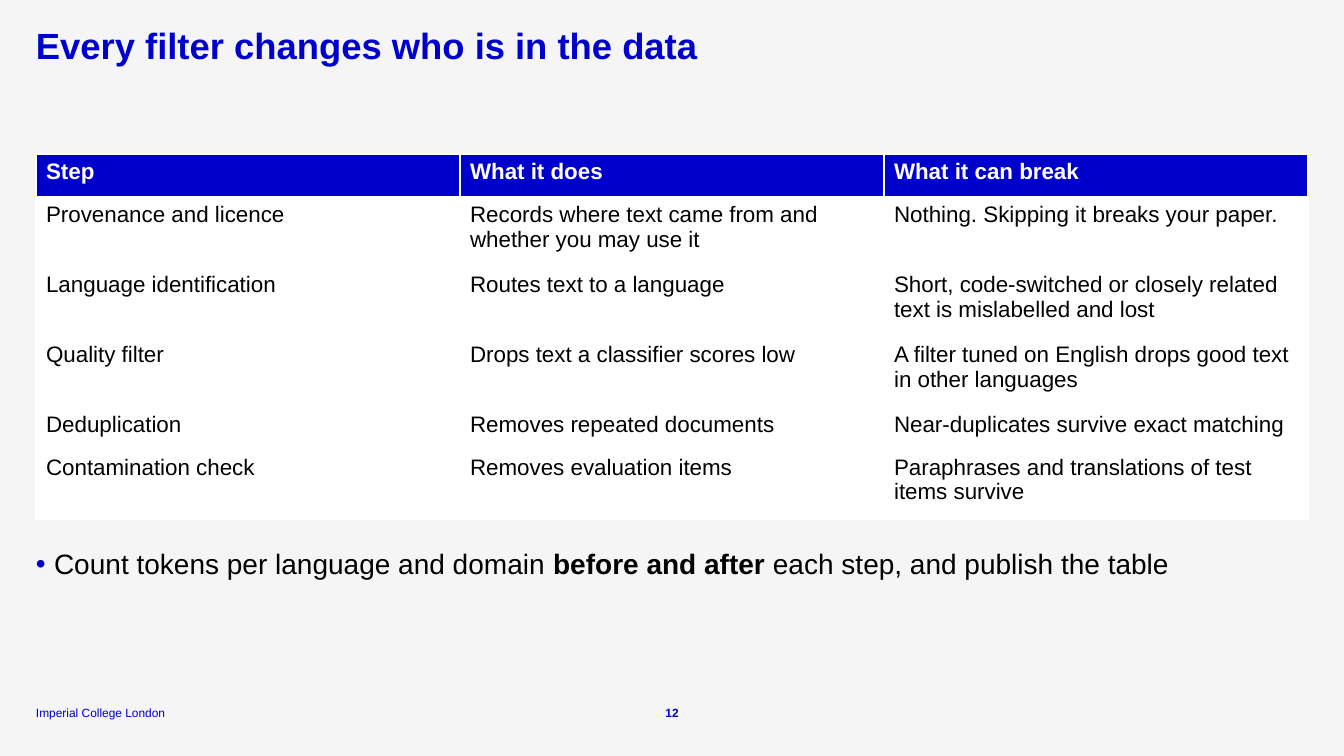
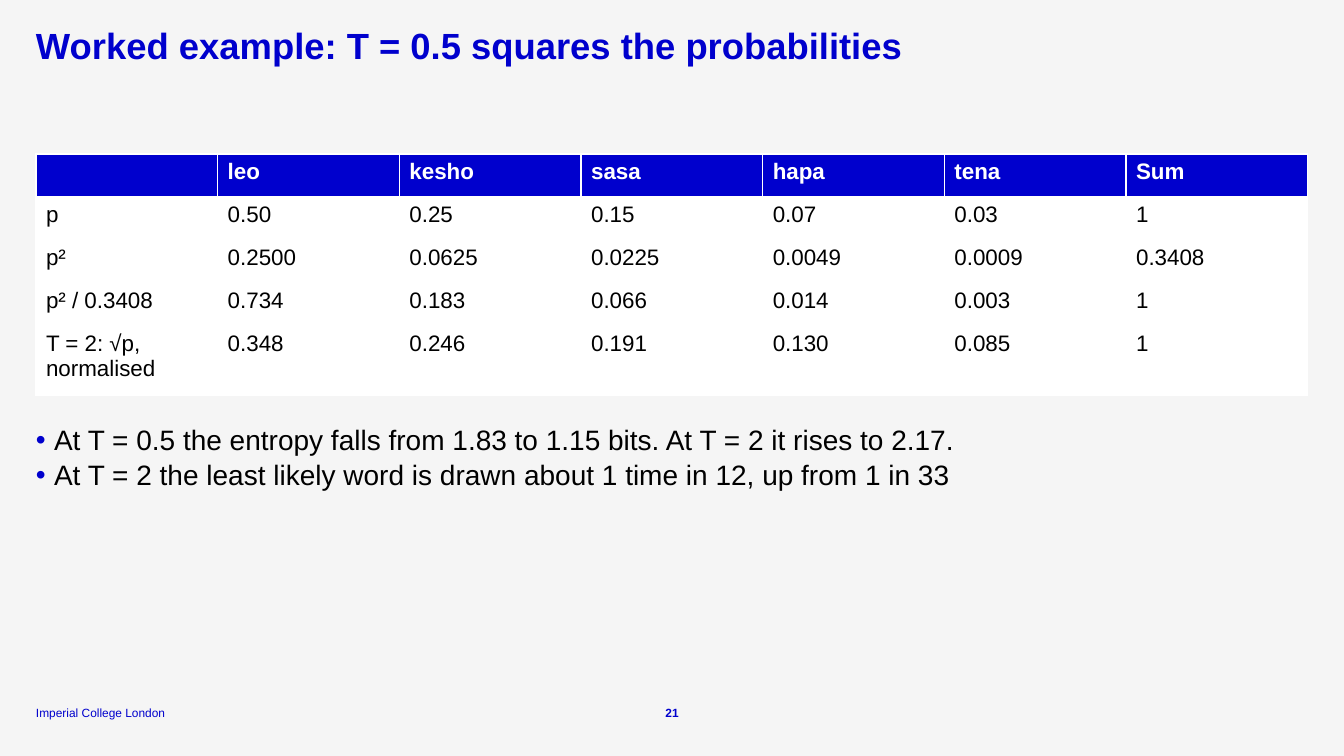
import pptx
import pptx.dml.color
import pptx.enum.text
import pptx.oxml.ns
import pptx.util
import lxml.etree

PIXELS_PER_INCH = 100.8
SLIDE_WIDTH, SLIDE_HEIGHT = 1344, 756
MARGIN = 36
CONTENT_WIDTH = SLIDE_WIDTH - 2 * MARGIN
TABLE_TOP = 154
ONE_LINE_ROW, TWO_LINE_ROW = 43, 70
LIST_GAP = 25
LIST_ITEM_HEIGHT = 50
BULLET_INDENT = 18
FOOTER_TOP, FOOTER_HEIGHT = 705, 15
NUMBER_WIDTH = 36

FONT = "Arial"
BLUE = "0000CD"
BLACK = "000000"
WHITE = "FFFFFF"
BACKGROUND = "F5F5F5"

ALIGN = pptx.enum.text.PP_ALIGN
ANCHOR = pptx.enum.text.MSO_ANCHOR


def px(length):
    return pptx.util.Emu(round(length * 914400 / PIXELS_PER_INCH))


def color(value):
    return pptx.dml.color.RGBColor.from_string(value)


def set_fill(fill, value):
    fill.solid()
    fill.fore_color.rgb = color(value)


def style_paragraph(paragraph, size, value, bold=False, align=ALIGN.LEFT):
    paragraph.alignment = align
    font = paragraph.font
    font.name = FONT
    font.size = pptx.util.Pt(size)
    font.bold = bold
    font.color.rgb = color(value)


def place(shape, left, top, width, height):
    shape.left, shape.top = px(left), px(top)
    shape.width, shape.height = px(width), px(height)


def prepare_frame(shape, anchor):
    frame = shape.text_frame
    frame.word_wrap = True
    frame.auto_size = pptx.enum.text.MSO_AUTO_SIZE.NONE
    frame.vertical_anchor = anchor
    frame.margin_left = frame.margin_top = 0
    frame.margin_right = frame.margin_bottom = 0
    return frame


def add_bullet(paragraph):
    properties = paragraph._p.get_or_add_pPr()
    properties.set("marL", str(px(BULLET_INDENT)))
    properties.set("indent", str(-px(BULLET_INDENT)))
    qn = pptx.oxml.ns.qn
    bullet_color = lxml.etree.SubElement(properties, qn("a:buClr"))
    lxml.etree.SubElement(bullet_color, qn("a:srgbClr"), val=BLUE)
    lxml.etree.SubElement(properties, qn("a:buFont"), typeface=FONT)
    lxml.etree.SubElement(properties, qn("a:buChar"), char="•")


def set_title(slide, text):
    title = slide.shapes.title
    place(title, MARGIN, 28, CONTENT_WIDTH, 41)
    frame = prepare_frame(title, ANCHOR.TOP)
    frame.text = text
    paragraph = frame.paragraphs[0]
    paragraph.line_spacing = 0.9
    style_paragraph(paragraph, 26, BLUE, bold=True)


def set_list(slide, top, items):
    body = slide.placeholders[1]
    place(body, MARGIN, top, CONTENT_WIDTH, LIST_ITEM_HEIGHT * len(items))
    frame = prepare_frame(body, ANCHOR.TOP)
    for index, parts in enumerate(items):
        paragraph = frame.add_paragraph() if index else frame.paragraphs[0]
        paragraph.level = 2
        add_bullet(paragraph)
        paragraph.line_spacing = 1.05
        paragraph.space_before = pptx.util.Pt(0)
        style_paragraph(paragraph, 20, BLACK)
        for text, bold in parts:
            run = paragraph.add_run()
            run.text = text
            if bold:
                run.font.bold = True


def add_table(slide, rows, heights):
    column_count = len(rows[0])
    frame = slide.shapes.add_table(
        len(rows), column_count, px(MARGIN), px(TABLE_TOP),
        px(CONTENT_WIDTH), px(sum(heights)))
    table = frame.table
    table.horz_banding = False
    for column in table.columns:
        column.width = px(CONTENT_WIDTH / column_count)
    for row_index, (texts, height) in enumerate(zip(rows, heights)):
        table.rows[row_index].height = px(height)
        is_header = row_index == 0
        for column_index, text in enumerate(texts):
            cell = table.cell(row_index, column_index)
            set_fill(cell.fill, BLUE if is_header else WHITE)
            cell.text = text
            style_paragraph(cell.text_frame.paragraphs[0], 16,
                            WHITE if is_header else BLACK, is_header)


def add_footer_text(slide, left, width, text, bold=False, align=ALIGN.LEFT):
    box = slide.shapes.add_textbox(
        px(left), px(FOOTER_TOP), px(width), px(FOOTER_HEIGHT))
    frame = prepare_frame(box, ANCHOR.BOTTOM)
    frame.text = text
    style_paragraph(frame.paragraphs[0], 8.5, BLUE, bold, align)


def add_table_slide(presentation, number, title, rows, heights, items):
    slide = presentation.slides.add_slide(presentation.slide_layouts[1])
    set_title(slide, title)
    add_table(slide, rows, heights)
    set_list(slide, TABLE_TOP + sum(heights) + LIST_GAP, items)
    add_footer_text(slide, MARGIN, 156, "Imperial College London")
    add_footer_text(slide, (SLIDE_WIDTH - NUMBER_WIDTH) / 2, NUMBER_WIDTH,
                    str(number), bold=True, align=ALIGN.CENTER)


def main():
    presentation = pptx.Presentation()
    presentation.slide_width = px(SLIDE_WIDTH)
    presentation.slide_height = px(SLIDE_HEIGHT)
    set_fill(presentation.slide_master.background.fill, BACKGROUND)

    add_table_slide(
        presentation, 12, "Every filter changes who is in the data",
        [
            ["Step", "What it does", "What it can break"],
            ["Provenance and licence",
             "Records where text came from and whether you may use it",
             "Nothing. Skipping it breaks your paper."],
            ["Language identification", "Routes text to a language",
             "Short, code-switched or closely related text is mislabelled and lost"],
            ["Quality filter", "Drops text a classifier scores low",
             "A filter tuned on English drops good text in other languages"],
            ["Deduplication", "Removes repeated documents",
             "Near-duplicates survive exact matching"],
            ["Contamination check", "Removes evaluation items",
             "Paraphrases and translations of test items survive"],
        ],
        [ONE_LINE_ROW] + [TWO_LINE_ROW] * 3 + [ONE_LINE_ROW, TWO_LINE_ROW],
        [[("Count tokens per language and domain ", False),
          ("before and after", True),
          (" each step, and publish the table", False)]])

    add_table_slide(
        presentation, 21, "Worked example: T = 0.5 squares the probabilities",
        [
            ["", "leo", "kesho", "sasa", "hapa", "tena", "Sum"],
            ["p", "0.50", "0.25", "0.15", "0.07", "0.03", "1"],
            ["p²", "0.2500", "0.0625", "0.0225", "0.0049", "0.0009", "0.3408"],
            ["p² / 0.3408", "0.734", "0.183", "0.066", "0.014", "0.003", "1"],
            ["T = 2: √p, normalised",
             "0.348", "0.246", "0.191", "0.130", "0.085", "1"],
        ],
        [ONE_LINE_ROW] * 4 + [TWO_LINE_ROW],
        [[("At T = 0.5 the entropy falls from 1.83 to 1.15 bits. "
           "At T = 2 it rises to 2.17.", False)],
         [("At T = 2 the least likely word is drawn about 1 time in 12, "
           "up from 1 in 33", False)]])

    presentation.save("out.pptx")


if __name__ == "__main__":
    main()
